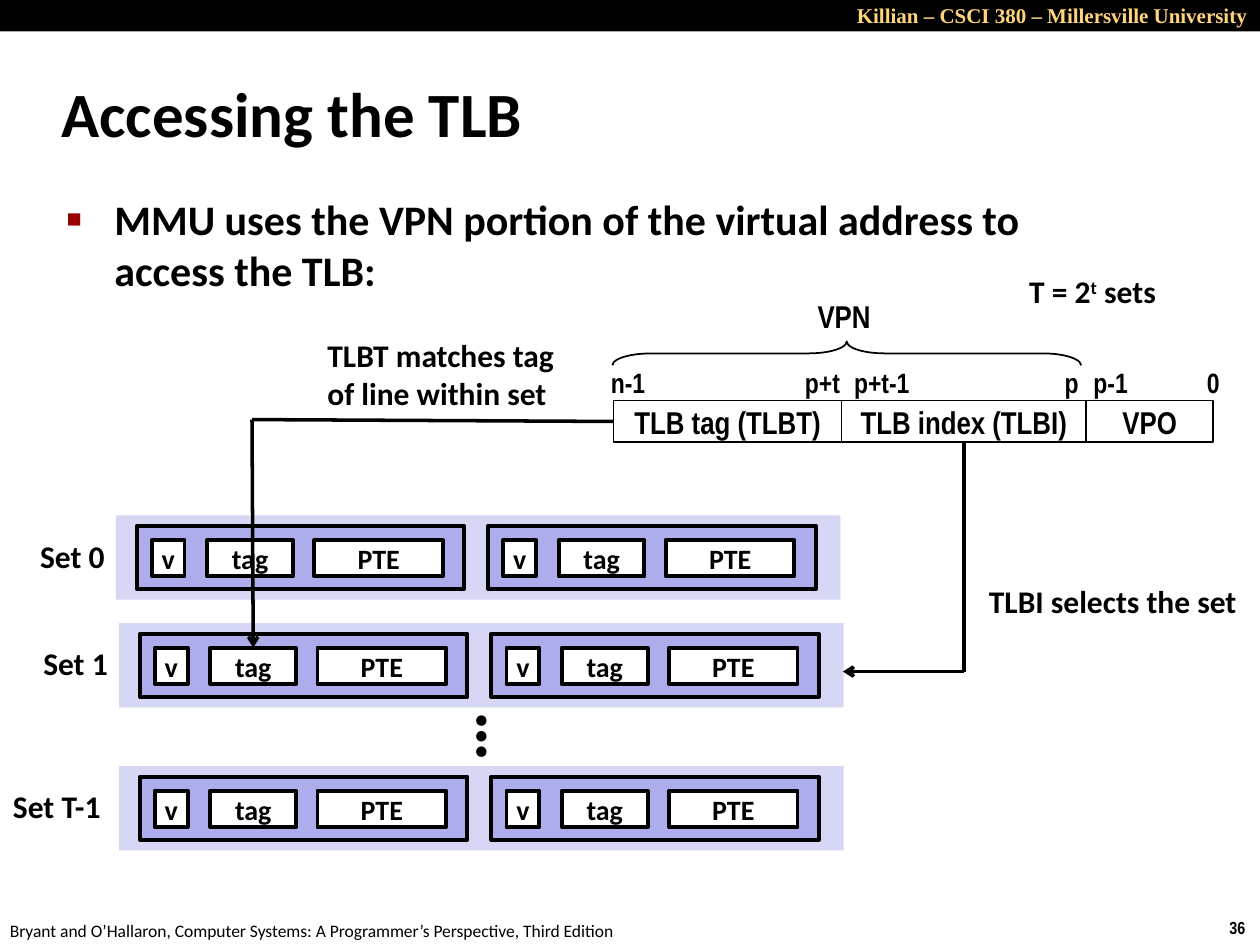
import pptx
import pptx.dml.color
import pptx.enum.shapes
import pptx.enum.text
import pptx.oxml
import pptx.oxml.ns
import pptx.util

SHAPE = pptx.enum.shapes.MSO_SHAPE
ALIGN = pptx.enum.text.PP_ALIGN
ANCHOR = pptx.enum.text.MSO_ANCHOR
BLACK, WHITE, GOLD, RED = "000000", "FFFFFF", "FFD579", "990000"
BAND, ENTRY = "D6D6F5", "ADADEB"
BODY, NARROW, SERIF = "Calibri", "Arial Narrow", "Times New Roman"
TOP, LEFT = 0, 1
BOTTOM = 2


def color(value):
    return pptx.dml.color.RGBColor.from_string(value)


def cells(count):
    return pptx.util.Inches(count / 10)


def add_xml(parent, tag, **attributes):
    child = pptx.oxml.parse_xml(f"<{tag} {pptx.oxml.ns.nsdecls('a')}/>")
    for name, value in attributes.items():
        child.set(name, value)
    parent.append(child)


class SlideBuilder:
    def __init__(self, page):
        self.page = page

    def style(self, para, size, font, bold, ink):
        para.font.size = pptx.util.Pt(size)
        para.font.name = font
        para.font.bold = bold
        para.font.color.rgb = color(ink)

    def text(self, words, left, top, width, height, size=18, font=BODY, bold=True,
             ink=BLACK, wrap=False, align=ALIGN.LEFT, anchor=ANCHOR.TOP, turn=0):
        box = self.page.shapes.add_textbox(*map(cells, (left, top, width, height)))
        box.rotation = turn
        frame = box.text_frame
        frame.word_wrap = wrap
        frame.vertical_anchor = anchor
        para = frame.paragraphs[0]
        para.text = words
        para.alignment = align
        self.style(para, size, font, bold, ink)
        return para

    def bullet(self, words, left, top, width, height, size):
        para = self.text(words, left, top, width, height, size, wrap=True)
        props = para._p.get_or_add_pPr()
        props.set("marL", str(cells(3.8)))
        props.set("indent", str(cells(-3.8)))
        add_xml(props, "a:buClr")
        add_xml(props[-1], "a:srgbClr", val=RED)
        add_xml(props, "a:buSzPct", val="60000")
        add_xml(props, "a:buFont", typeface="Arial")
        add_xml(props, "a:buChar", char="■")

    def shape(self, left, top, width, height, fill=None, line=0, kind=SHAPE.RECTANGLE):
        box = self.page.shapes.add_shape(kind, *map(cells, (left, top, width, height)))
        box.shadow.inherit = False
        if fill:
            box.fill.solid()
            box.fill.fore_color.rgb = color(fill)
        else:
            box.fill.background()
        if line:
            box.line.color.rgb = color(BLACK)
            box.line.width = pptx.util.Pt(line)
        else:
            box.line.fill.background()
        return box

    def labelled(self, words, left, top, width, height, size, font, line):
        box = self.shape(left, top, width, height, WHITE, line)
        frame = box.text_frame
        frame.word_wrap = False
        frame.vertical_anchor = ANCHOR.MIDDLE
        frame.margin_left = frame.margin_right = frame.margin_top = frame.margin_bottom = 0
        para = frame.paragraphs[0]
        para.text = words
        para.alignment = ALIGN.CENTER
        self.style(para, size, font, True, BLACK)
        return box

    def brace(self, left, top, width, height):
        slack = (width - height) / 2
        brace = self.shape(left + slack, top - slack, height, width, None, 1, SHAPE.LEFT_BRACE)
        brace.rotation = 90
        brace.adjustments[0] = 1.6
        brace.adjustments[1] = 0.5

    def line(self, start, end, arrow=False, source=None, target=None):
        connector = self.page.shapes.add_connector(
            pptx.enum.shapes.MSO_CONNECTOR.STRAIGHT, *map(cells, start + end))
        if source:
            connector.begin_connect(*source)
        if target:
            connector.end_connect(*target)
        connector.line.color.rgb = color(BLACK)
        connector.line.width = pptx.util.Pt(2)
        if arrow:
            add_xml(connector.line._get_or_add_ln(), "a:tailEnd", type="arrow")
        add_xml(connector._element.spPr, "a:effectLst")

    def cache_set(self, label, left, top, label_width):
        self.shape(left, top, 57.5, 6.7, BAND)
        tags = []
        for entry_left in (left + 1.65, left + 29.55):
            self.shape(entry_left, top + 0.85, 26, 5, ENTRY, 2.25)
            fields = [self.labelled(words, entry_left + offset, top + 1.95, width, 2.9,
                                    16, BODY, 2.25)
                      for words, offset, width in (("v", 1.2, 2.6), ("tag", 5.6, 6.8),
                                                   ("PTE", 14.1, 10.2))]
            tags.append(fields[1])
        self.text(label, left + 0.2 - label_width, top + 1.2, label_width, 4)
        return tags[0]


def main():
    deck = pptx.Presentation()
    deck.slide_width = cells(100)
    deck.slide_height = cells(75)
    slide = SlideBuilder(deck.slides.add_slide(deck.slide_layouts[6]))

    slide.text("36", 96.6, 72.3, 3.4, 2.7, 10, NARROW)
    slide.text("Bryant and O’Hallaron, Computer Systems: A Programmer’s Perspective, Third Edition",
               -0.2, 72.5, 50.8, 2.7, 10, bold=False)
    slide.shape(0, 0, 100, 2.5, BLACK)
    slide.text("Killian – CSCI 380 – Millersville University", 66.9, -0.3, 33.1, 3,
               12, SERIF, ink=GOLD, wrap=True, align=ALIGN.RIGHT)
    slide.text("Accessing the TLB", 3.9, 4.8, 83, 8.3, 36, wrap=True, anchor=ANCHOR.MIDDLE)
    slide.bullet("MMU uses the VPN portion of the virtual address to access the TLB:",
                 4.3, 14.9, 86.4, 9.3, 24)

    address = [slide.labelled(words, left, 31.8, width, 3.3, 18, NARROW, 1)
               for words, left, width in (("TLB tag (TLBT)", 48.7, 18.1),
                                          ("TLB index (TLBI)", 66.8, 19.4),
                                          ("VPO", 86.2, 10.1))]
    for words, left, width in (("n-1", 47.5, 4.8), ("p+t", 62.9, 4.8), ("p+t-1", 66.8, 6.5),
                               ("p", 83.5, 3.1), ("p-1", 85.8, 4.8), ("0", 94.8, 3)):
        slide.text(words, left, 28.5, width, 3.7, 16, NARROW, anchor=ANCHOR.MIDDLE)
    slide.brace(48.6, 27.1, 37.2, 1.9)
    slide.text("VPN", 63.9, 23.1, 6.3, 4, font=NARROW, anchor=ANCHOR.MIDDLE)

    slide.cache_set("Set 0", 9.2, 40.9, 7.2)
    matched_tag = slide.cache_set("Set 1", 9.45, 49.45, 7.2)
    slide.cache_set("Set T-1", 9.45, 60.8, 9.6)
    slide.text("…", 33.4, 54.6, 6, 7.7, 40, turn=270)

    count = slide.text("T = 2", 80.7, 21.1, 12.5, 4, wrap=True)
    power = count.add_run()
    power.text = "t"
    power._r.get_or_add_rPr().set("baseline", "30000")
    count.add_run().text = " sets"

    slide.line((76.5, 35.1), (76.5, 53.3), source=(address[1], BOTTOM))
    slide.line((76.5, 53.3), (66.9, 53.3), arrow=True)
    slide.text("TLBI selects the set", 77.5, 45.7, 21.9, 4)
    slide.line((48.7, 33.5), (20, 33.3), source=(address[0], LEFT))
    slide.line((20, 33.3), (20.1, 51.4), arrow=True, target=(matched_tag, TOP))
    slide.text("TLBT matches tag of line within set", 25, 26.2, 22.5, 7.1, wrap=True)

    deck.save("out.pptx")


if __name__ == "__main__":
    main()
